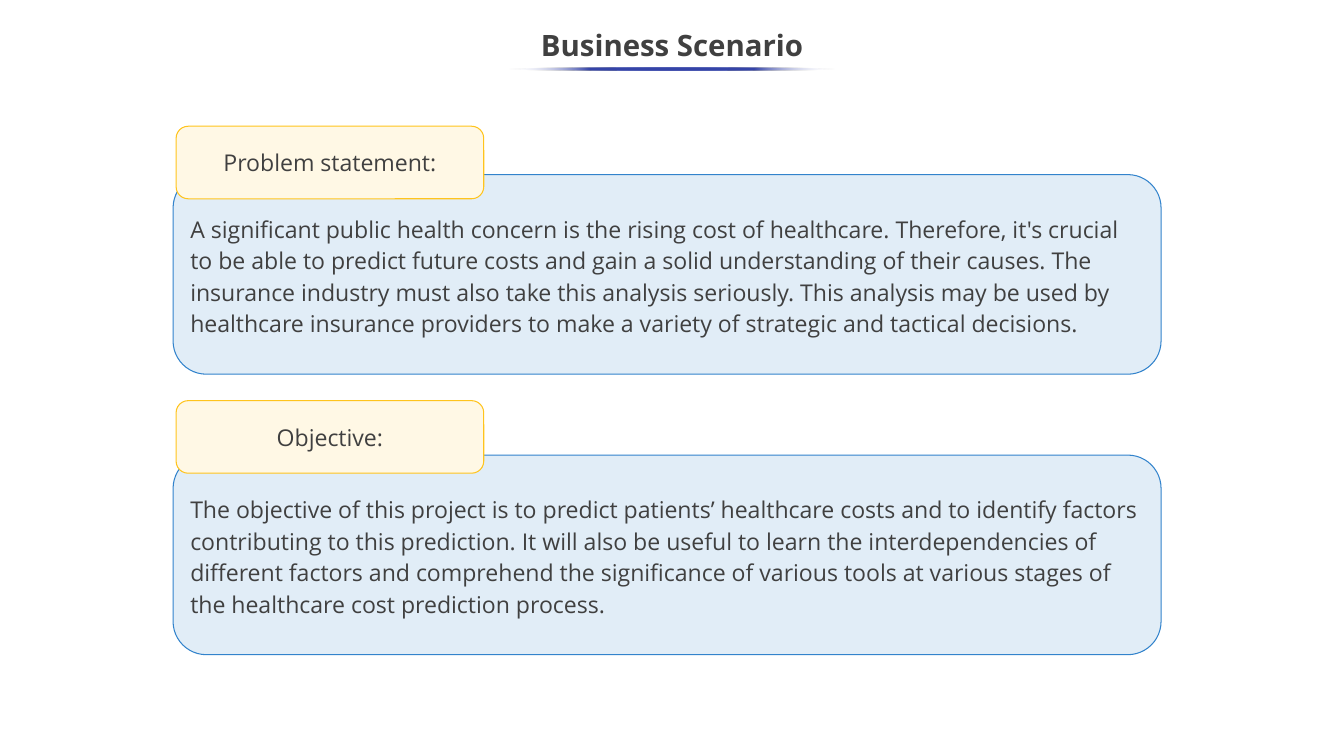
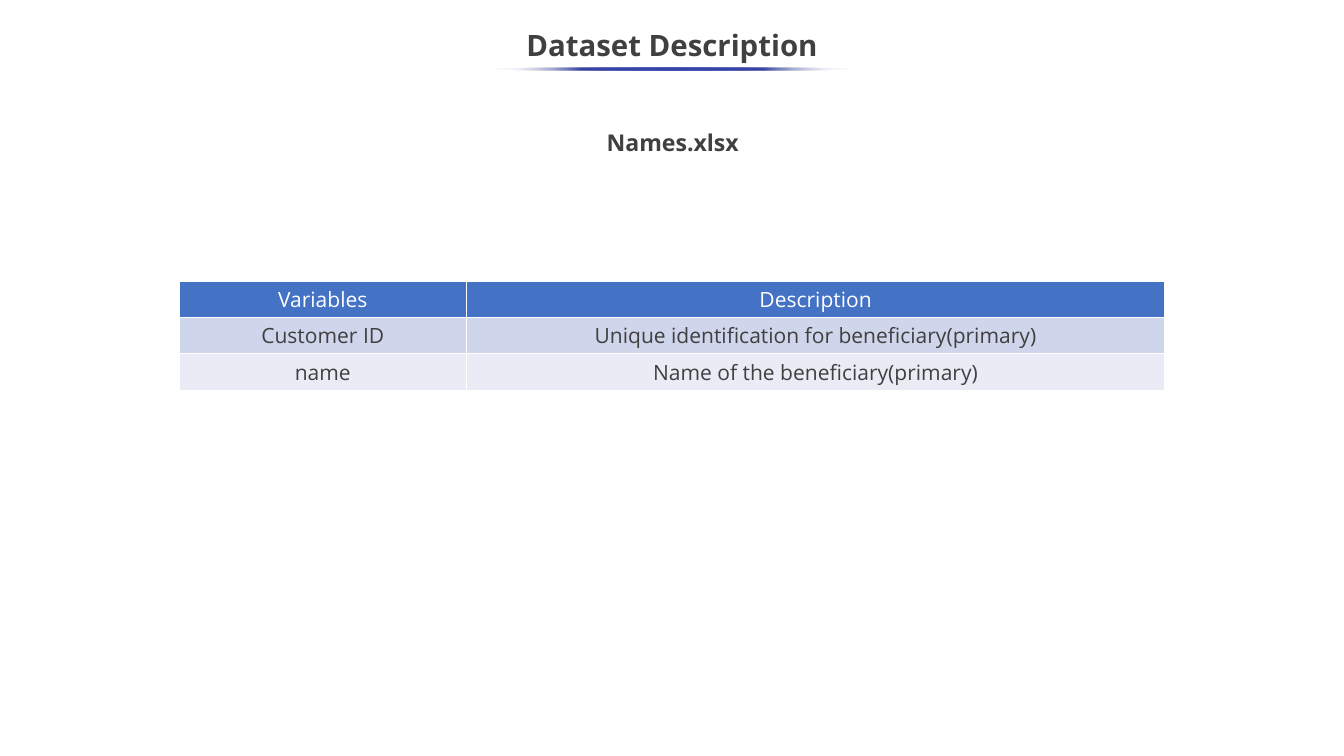
from dataclasses import dataclass

from lxml import etree
from pptx import Presentation
from pptx.dml.color import RGBColor
from pptx.enum.shapes import MSO_SHAPE
from pptx.enum.text import MSO_ANCHOR, MSO_AUTO_SIZE, PP_ALIGN
from pptx.oxml.ns import qn
from pptx.util import Inches, Pt

ROUNDED, ELLIPSE = MSO_SHAPE.ROUNDED_RECTANGLE, MSO_SHAPE.OVAL
LEFT, CENTER = PP_ALIGN.LEFT, PP_ALIGN.CENTER
TOP, MIDDLE = MSO_ANCHOR.TOP, MSO_ANCHOR.MIDDLE
NO_AUTOFIT = MSO_AUTO_SIZE.NONE


@dataclass(frozen=True)
class Theme:
    font: str = "Open Sans"
    title_size: int = 28
    body_size: int = 22
    table_size: int = 20
    text: str = "404040"
    white: str = "FFFFFF"
    underline: str = "3645A9"
    panel_fill: str = "E1EDF7"
    panel_line: str = "3283CC"
    tag_fill: str = "FFF8E5"
    tag_line: str = "FFC41D"
    header_fill: str = "4472C4"
    row_fills: tuple = ("CFD5EA", "E9EBF5")


theme = Theme()
SLIDE_WIDTH = 17.78


def write(frame, text, size=theme.body_size, color=theme.text, bold=False,
          align=CENTER, anchor=MIDDLE, spacing=1.0):
    frame.word_wrap = True
    frame.auto_size = NO_AUTOFIT
    frame.vertical_anchor = anchor
    paragraph = frame.paragraphs[0]
    paragraph.text = text
    paragraph.alignment = align
    paragraph.line_spacing = spacing
    paragraph.space_before = Pt(0)
    font = paragraph.runs[0].font
    font.name, font.size, font.bold = theme.font, Pt(size), bold
    font.color.rgb = RGBColor.from_string(color)


def add_box(slide, kind, left, top, width, height, fill=None, line=None):
    box = slide.shapes.add_shape(kind, Inches(left), Inches(top), Inches(width), Inches(height))
    box.shadow.inherit = False
    if fill:
        box.fill.solid()
        box.fill.fore_color.rgb = RGBColor.from_string(fill)
    if line:
        box.line.color.rgb = RGBColor.from_string(line)
        box.line.width = Pt(1)
    else:
        box.line.fill.background()
    return box


prs = Presentation()
prs.slide_width, prs.slide_height = Inches(SLIDE_WIDTH), Inches(10)
title_only, title_and_body = prs.slide_layouts[5], prs.slide_layouts[1]
scenario = prs.slides.add_slide(title_only)
dataset = prs.slides.add_slide(title_and_body)

# Titles, each over a line that fades out at both ends
for slide, heading, underline_width in (
    (scenario, "Business Scenario", 4.33),
    (dataset, "Dataset Description", 4.81),
):
    title = slide.shapes.title
    title.left, title.top = Inches(0), Inches(0.25)
    title.width, title.height = prs.slide_width, Inches(0.75)
    write(title.text_frame, heading, size=theme.title_size, bold=True, spacing=0.9)

    underline = add_box(slide, ELLIPSE, (SLIDE_WIDTH - underline_width) / 2, 0.89,
                        underline_width, 0.04)
    underline.fill.gradient()
    underline.fill.gradient_angle = 0
    stops = underline._element.spPr.find(".//" + qn("a:gsLst"))
    for stop in list(stops):
        stops.remove(stop)
    for percent in (0, 25, 75, 100):
        faded = percent in (0, 100)
        stop = etree.SubElement(stops, qn("a:gs"), pos=str(percent * 1000))
        color = etree.SubElement(stop, qn("a:srgbClr"),
                                 val=theme.white if faded else theme.underline)
        if faded:
            etree.SubElement(color, qn("a:alpha"), val="0")

# Slide 1: panels with a tag on the upper left corner
sections = (
    ("Problem statement:", 1.67, 2.31,
     "A significant public health concern is the rising cost of healthcare. Therefore, "
     "it's crucial to be able to predict future costs and gain a solid understanding of "
     "their causes. The insurance industry must also take this analysis seriously. This "
     "analysis may be used by healthcare insurance providers to make a variety of "
     "strategic and tactical decisions."),
    ("Objective:", 5.3, 6.02,
     "The objective of this project is to predict patients’ healthcare costs and to "
     "identify factors contributing to this prediction. It will also be useful to learn "
     "the interdependencies of different factors and comprehend the significance of "
     "various tools at various stages of the healthcare cost prediction process."),
)
for label, tag_top, panel_top, statement in sections:
    panel = add_box(scenario, ROUNDED, 2.29, panel_top, 13.07, 2.64,
                    theme.panel_fill, theme.panel_line)
    write(panel.text_frame, statement, align=LEFT, spacing=1.14)
    tag = add_box(scenario, ROUNDED, 2.33, tag_top, 4.07, 0.96,
                  theme.tag_fill, theme.tag_line)
    write(tag.text_frame, label)

# Slide 2: file name and its variables
file_name = dataset.placeholders[1]
file_name.left, file_name.top = Inches(1.41), Inches(1.65)
file_name.width, file_name.height = Inches(14.98), Inches(0.99)
file_name.text_frame.margin_top = file_name.text_frame.margin_bottom = 0
properties = file_name.text_frame.paragraphs[0]._p.get_or_add_pPr()
properties.set("marL", "0")
properties.set("indent", "0")
etree.SubElement(properties, qn("a:buNone"))
write(file_name.text_frame, "Names.xlsx", bold=True, anchor=TOP, spacing=1.15)

variables = (
    ("Variables", "Description"),
    ("Customer ID", "Unique identification for beneficiary(primary)"),
    ("name", "Name of the beneficiary(primary)"),
)
column_widths = (3.8, 9.24)
row_height = 0.48
table = dataset.shapes.add_table(
    len(variables), len(column_widths), Inches(2.37), Inches(3.72),
    Inches(sum(column_widths)), Inches(row_height * len(variables))).table
for column, width in zip(table.columns, column_widths):
    column.width = Inches(width)

for row, entries in enumerate(variables):
    table.rows[row].height = Inches(row_height)
    is_header = row == 0
    fill = theme.header_fill if is_header else theme.row_fills[(row - 1) % 2]
    for col, entry in enumerate(entries):
        cell = table.cell(row, col)
        write(cell.text_frame, entry, size=theme.table_size, anchor=TOP,
              color=theme.white if is_header else theme.text)
        cell_properties = cell._tc.get_or_add_tcPr()
        for side in ("L", "R", "T", "B"):
            border = etree.SubElement(cell_properties, qn("a:ln" + side), w=str(Pt(1)))
            border_fill = etree.SubElement(border, qn("a:solidFill"))
            etree.SubElement(border_fill, qn("a:srgbClr"), val=theme.white)
        cell.fill.solid()
        cell.fill.fore_color.rgb = RGBColor.from_string(fill)

prs.save("out.pptx")
